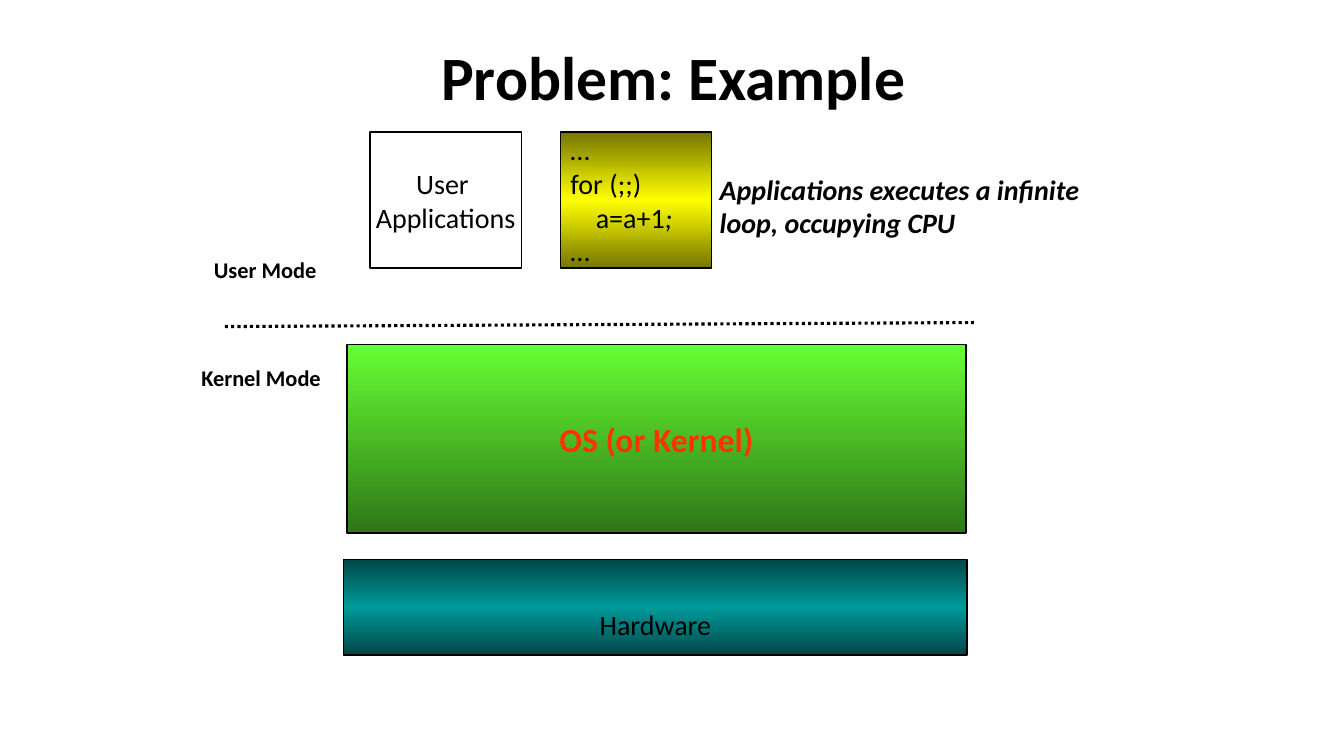
from lxml import etree
from pptx import Presentation
from pptx import util as u
from pptx.dml.color import RGBColor
from pptx.enum import dml, shapes, text
from pptx.oxml.ns import qn

PX = 9144  # 100 px to the inch
FONT = "Calibri"
BLACK = RGBColor(0, 0, 0)
WHITE = RGBColor(255, 255, 255)
RED = RGBColor(0xFF, 0x33, 0x00)
OLIVE = RGBColor(0x76, 0x76, 0x00)
YELLOW = RGBColor(0xFF, 0xFF, 0x00)
DEEP = RGBColor(0x00, 0x47, 0x47)
TEAL = RGBColor(0x00, 0x99, 0x99)
LIME = RGBColor(0x66, 0xFF, 0x33)
GREEN = RGBColor(0x2F, 0x76, 0x18)

LEFT, MID = text.PP_ALIGN.LEFT, text.PP_ALIGN.CENTER
TITLE = ("Problem: Example", (68, 13, 1200, 125))
BORDER = (223, 324, 966, 320)

# place, colours from top to bottom, top inset, wrap, style, lines of runs
BOXES = [
    ((556, 131, 150, 135), [OLIVE, YELLOW, OLIVE], 5, True,
     dict(size=20, align=LEFT),
     [["…"], ["for (;;)"], ["    a=a+1", (";", True)], ["…"]]),
    ((341, 555, 618, 95), [DEEP, TEAL, DEEP], 39, False,
     dict(size=20), [["Hardware"]]),
    ((344, 342, 614, 187), [LIME, GREEN], 5, False,
     dict(size=24, bold=True, color=RED), [["OS (or Kernel)"]]),
    ((367, 131, 150, 135), [WHITE], 5, False,
     dict(size=20), [["User "], ["Applications"]]),
]

# place, wrap, style, words
LABELS = [
    ((201, 249, 124, 37), False, dict(size=16, bold=True), "User Mode"),
    ((186, 356, 146, 37), False, dict(size=16, bold=True), "Kernel Mode"),
    ((704, 166, 433, 77), True,
     dict(size=20, bold=True, italic=True, align=LEFT),
     "Applications executes a infinite loop, occupying CPU"),
]


def scale(place):
    return [v * PX for v in place]


def write(frame, lines, size, bold=False, italic=False, color=BLACK, align=MID):
    """Fill the frame; a run is a string or a (string, italic) pair."""
    for i, line in enumerate(lines):
        par = frame.add_paragraph() if i else frame.paragraphs[0]
        par.alignment = align
        for part in line:
            words, slant = (part, italic) if isinstance(part, str) else part
            run = par.add_run()
            run.text = words
            font = run.font
            font.name, font.size = FONT, u.Pt(size)
            font.bold, font.italic = bold, slant
            font.color.rgb = color


def paint(shape, tones):
    """Fill solid for one tone, else with an even gradient running down."""
    fill = shape.fill
    if len(tones) == 1:
        fill.solid()
        fill.fore_color.rgb = tones[0]
        return
    fill.gradient()
    fill.gradient_angle = 270
    stops = shape._element.spPr.find(qn("a:gradFill")).find(qn("a:gsLst"))
    for old in list(stops):
        stops.remove(old)
    for i, tone in enumerate(tones):
        pos = 100000 * i // (len(tones) - 1)
        stop = etree.SubElement(stops, qn("a:gs"), pos=str(pos))
        etree.SubElement(stop, qn("a:srgbClr"), val=str(tone))


def add_box(slide, place, tones, inset, wrap, style, lines):
    box = slide.shapes.add_shape(shapes.MSO_SHAPE.RECTANGLE, *scale(place))
    box.shadow.inherit = False
    paint(box, tones)
    box.line.color.rgb = BLACK
    box.line.width = u.Pt(1)
    frame = box.text_frame
    frame.word_wrap = wrap
    frame.margin_top = inset * PX
    frame.vertical_anchor = text.MSO_ANCHOR.MIDDLE
    write(frame, lines, **style)


def add_label(slide, place, wrap, style, words):
    frame = slide.shapes.add_textbox(*scale(place)).text_frame
    frame.word_wrap = wrap
    write(frame, [[words]], **style)


def add_border(slide):
    line = slide.shapes.add_connector(shapes.MSO_CONNECTOR.STRAIGHT, *scale(BORDER))
    line.line.color.rgb = BLACK
    line.line.width = u.Pt(2.25)
    line.line.dash_style = dml.MSO_LINE.ROUND_DOT
    etree.SubElement(line._element.spPr, qn("a:effectLst"))


def main():
    deck = Presentation()
    deck.slide_width, deck.slide_height = scale((1333, 750))
    slide = deck.slides.add_slide(deck.slide_layouts[5])

    words, place = TITLE
    title = slide.shapes.title
    title.left, title.top, title.width, title.height = scale(place)
    title.text_frame.vertical_anchor = text.MSO_ANCHOR.MIDDLE
    write(title.text_frame, [[words]], size=44, bold=True)

    add_border(slide)
    for box in BOXES:
        add_box(slide, *box)
    for label in LABELS:
        add_label(slide, *label)
    deck.save("out.pptx")


if __name__ == "__main__":
    main()
